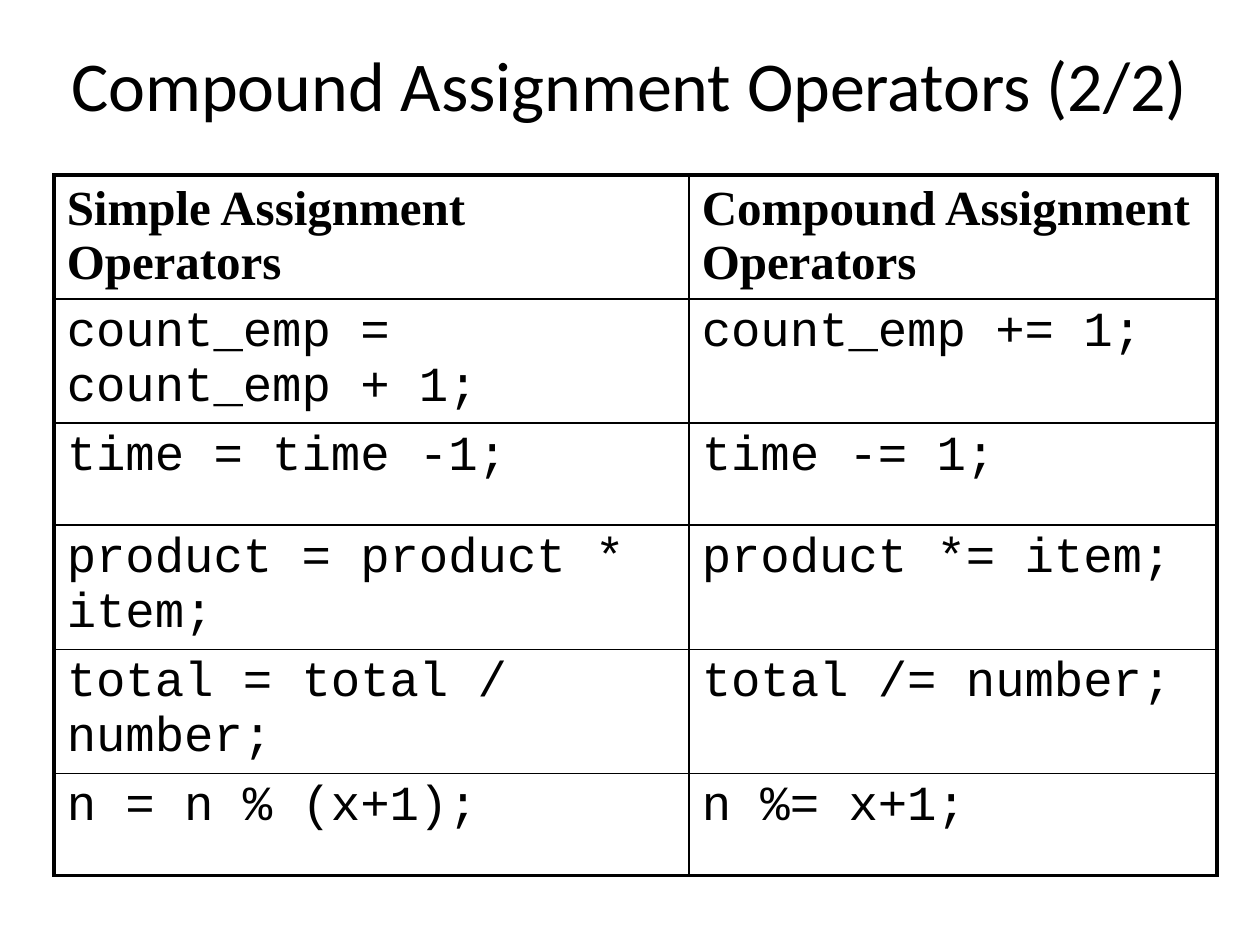
from dataclasses import dataclass

from lxml import etree
from pptx import Presentation
from pptx import util as u
from pptx.dml.color import RGBColor
from pptx.enum import text
from pptx.oxml.ns import qn


@dataclass(frozen=True)
class Theme:
    """Colours, fonts, type sizes and line widths."""
    ink: str = "000000"
    paper: str = "FFFFFF"
    title_font: str = "Calibri"
    header_font: str = "Times New Roman"
    code_font: str = "Courier New"
    title_size: float = 40
    cell_size: float = 28
    outer_line: float = 2.25
    inner_line: float = 1


class SlideBuilder:
    """Holds the theme and the current slide."""

    def __init__(self, page, theme):
        """Keep the slide and its style."""
        self.page = page
        self.theme = theme

    def style(self, para, font, size, bold=False):
        """Format every run of a paragraph."""
        for span in para.runs:
            span.font.name = font
            span.font.size = u.Pt(size)
            span.font.bold = bold
            span.font.color.rgb = RGBColor.from_string(self.theme.ink)

    def title(self, words, left, top, width, height):
        """Add the centred slide title."""
        box = self.page.shapes.add_textbox(*map(u.Inches, (left, top, width, height)))
        frame = box.text_frame
        frame.word_wrap = True
        frame.vertical_anchor = text.MSO_ANCHOR.MIDDLE
        frame.text = words
        para = frame.paragraphs[0]
        para.alignment = text.PP_ALIGN.CENTER
        self.style(para, self.theme.title_font, self.theme.title_size)

    def borders(self, cell, outer_sides):
        """Draw four cell borders, heavier on the outer sides."""
        properties = cell._tc.get_or_add_tcPr()
        for index, side in enumerate("LRTB"):
            width = self.theme.outer_line if side in outer_sides else self.theme.inner_line
            line = etree.Element(qn(f"a:ln{side}"), w=str(u.Pt(width)))
            fill = etree.SubElement(line, qn("a:solidFill"))
            etree.SubElement(fill, qn("a:srgbClr"), val=self.theme.ink)
            properties.insert(index, line)

    def table(self, rows, left, top, widths, row_height):
        """Add a framed table with a bold header row."""
        area = (left, top, sum(widths), row_height * len(rows))
        grid = self.page.shapes.add_table(
            len(rows), len(widths), *map(u.Inches, area)).table
        grid.first_row = grid.horz_banding = False
        for column, width in zip(grid.columns, widths):
            column.width = u.Inches(width)
        for r, row in enumerate(rows):
            grid.rows[r].height = u.Inches(row_height)
            font = self.theme.code_font if r else self.theme.header_font
            for c, words in enumerate(row):
                cell = grid.cell(r, c)
                cell.margin_bottom = 0
                cell.text_frame.text = words
                self.style(cell.text_frame.paragraphs[0], font,
                           self.theme.cell_size, bold=r == 0)
                cell.fill.solid()
                cell.fill.fore_color.rgb = RGBColor.from_string(self.theme.paper)
                edges = {"L": c == 0, "R": c == len(widths) - 1,
                         "T": r == 0, "B": r == len(rows) - 1}
                self.borders(cell, [side for side, outer in edges.items() if outer])


OPERATORS = [
    ("Simple Assignment Operators", "Compound Assignment Operators"),
    ("count_emp = count_emp + 1;", "count_emp += 1;"),
    ("time = time -1;", "time -= 1;"),
    ("product = product * item;", "product *= item;"),
    ("total = total / number;", "total /= number;"),
    ("n = n % (x+1);", "n %= x+1;"),
]


def main():
    """Build and save the deck."""
    deck = Presentation()
    deck.slide_width, deck.slide_height = u.Inches(10), u.Inches(7.5)
    builder = SlideBuilder(deck.slides.add_slide(deck.slide_layouts[6]), Theme())
    builder.title("Compound Assignment Operators (2/2)", 0.33, 0.04, 9.33, 1.25)
    builder.table(OPERATORS, 0.43, 1.39, (5.04, 4.19), 0.81)
    deck.save("out.pptx")


main()
